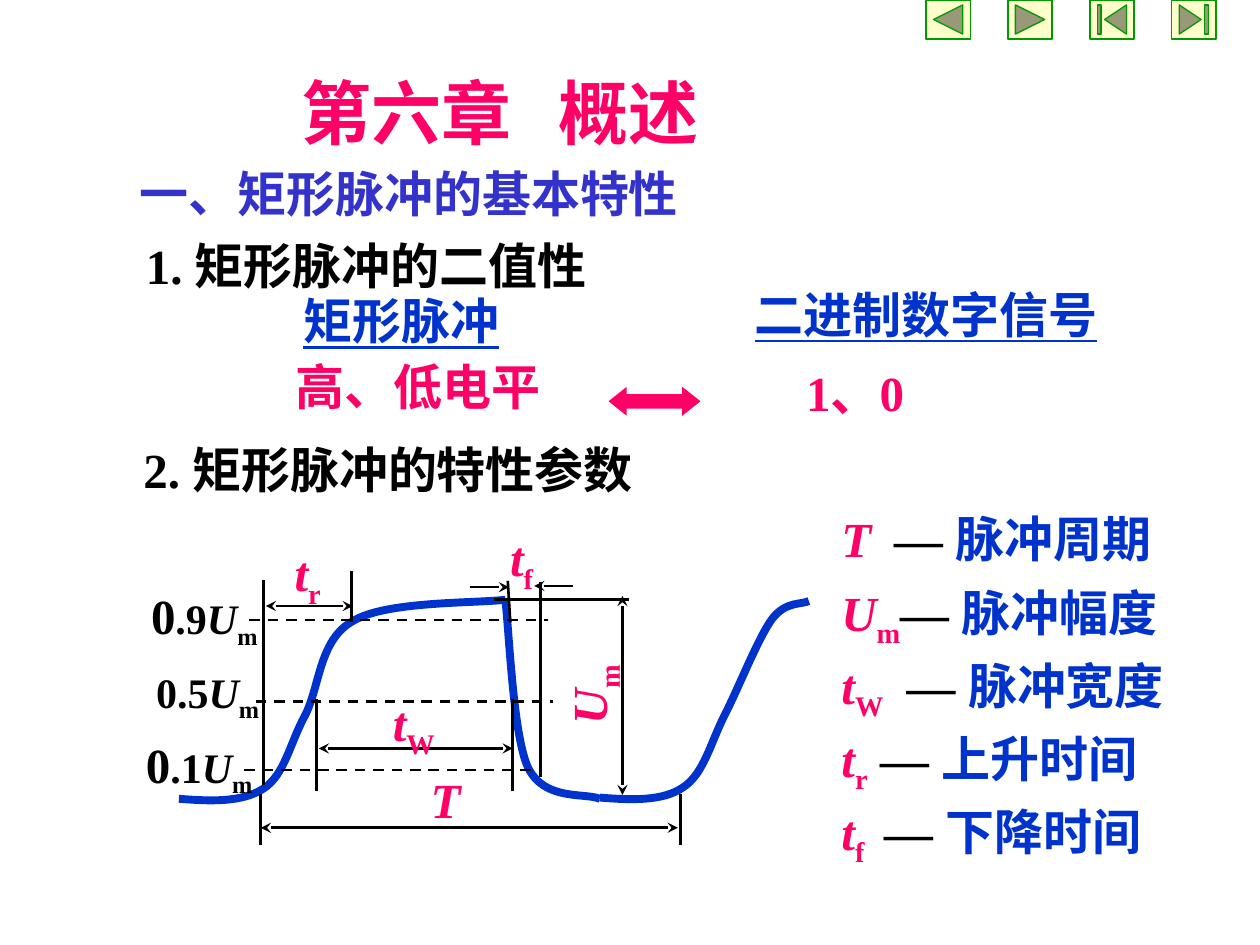
from lxml.etree import SubElement
from pptx import Presentation
from pptx.dml.color import RGBColor
from pptx.enum.dml import MSO_LINE
from pptx.enum.shapes import MSO_CONNECTOR, MSO_SHAPE as SHAPE
from pptx.enum.text import MSO_ANCHOR, MSO_AUTO_SIZE, PP_ALIGN
from pptx.oxml.ns import qn
from pptx.util import Inches, Pt

LATIN, CJK = "Times New Roman", "Noto Sans CJK SC"
PINK, BLUE, VIOLET, BLACK = "FF0066", "0033CC", "3333CC", "000000"

VAR = dict(color=PINK, italic=True)
SUB = dict(color=PINK, base=-25)
DASH = dict(color=BLACK, italic=True)
NAME = dict(color=BLUE)
LINK = dict(color=BLUE, underline=True)
TICK = dict(color=BLACK, size=24)
TICK_VAR = TICK | dict(italic=True)
TICK_SUB = TICK | dict(base=-25)

TITLE = [("第六章\t概述", dict(color=PINK, size=40, name=CJK))]

TEXTS = [
    (1.01, 1.25, 5.52, 0.57, [("一、矩形脉冲的基本特性", dict(color=VIOLET))]),
    (1.06, 1.82, 4.67, 0.57, [("1. 矩形脉冲的二值性", dict(color=BLACK))]),
    (2.31, 2.26, 2.67, 0.57, [("矩形脉冲", LINK)]),
    (5.89, 2.21, 3.29, 0.57, [("二进制数字信号", LINK)]),
    (2.25, 2.78, 2.43, 0.57, [("高、低电平", dict(color=PINK))]),
    (6.3, 2.83, 1.63, 0.57, [("1、0", dict(color=PINK))]),
    (1.04, 3.44, 4.67, 0.57, [("2. 矩形脉冲的特性参数", dict(color=BLACK))]),
    (3.32, 6.06, 0.54, 0.57, [("T", VAR)]),
    (3.02, 5.45, 0.94, 0.63, [("t", VAR), ("W", SUB)]),
    (2.24, 4.26, 0.83, 0.63, [("t", VAR), ("r", SUB)]),
    (3.95, 4.14, 0.62, 0.63, [("t", VAR), ("f", SUB)]),
    (1.14, 5.24, 1.49, 0.56, [("0.5", TICK), ("U", TICK_VAR), ("m", TICK_SUB)]),
]
for left, top, digit in [(1.06, 5.78, ".1"), (1.1, 4.6, ".9")]:
    TEXTS.append((left, top, 1.49, 0.61, [("0", dict(color=BLACK)), (digit, TICK),
                                          ("U", TICK_VAR), ("m", TICK_SUB)]))

AMPLITUDE = (4.18, 5.01, 1.04, 0.63, [("U", VAR), ("m", SUB)])

LEGEND_LEFT, LEGEND_TOP, LEGEND_STEP = 6.58, 3.99, 0.58
LEGEND = [
    ("T", "", "脉冲周期", 0.42),
    ("U", "m", "脉冲幅度", None),
    ("t", "W", "脉冲宽度", 0.52),
    ("t", "r", "上升时间", 0.31),
    ("t", "f", "下降时间", 0.34),
]

CURVES = [
    [(1.42, 6.34), (1.67, 6.36), (1.92, 6.37), (2.09, 6.26), (2.26, 6.15), (2.3, 5.9),
     (2.42, 5.68), (2.54, 5.45), (2.53, 5.08), (2.8, 4.93), (3.06, 4.77), (3.75, 4.79),
     (4.01, 4.76)],
    [(4.01, 4.76), (4.04, 4.98), (4.07, 5.83), (4.19, 6.09), (4.32, 6.36), (4.64, 6.29),
     (4.76, 6.34)],
    [(4.76, 6.33), (5.01, 6.35), (5.26, 6.36), (5.42, 6.25), (5.59, 6.14), (5.64, 5.89),
     (5.76, 5.66), (5.87, 5.44), (6.02, 5.06), (6.13, 4.91), (6.24, 4.77), (6.36, 4.8),
     (6.42, 4.77)],
]

PLAIN, BOTH, END = (), ("headEnd", "tailEnd"), ("tailEnd",)
LINES = {
    PLAIN: [
        (2.07, 6.3, 2.07, 6.71), (5.4, 6.3, 5.4, 6.71), (3.92, 4.76, 4.99, 4.76),
        (2.51, 5.55, 2.51, 6.28), (4.07, 5.55, 4.07, 6.28), (2.09, 4.6, 2.09, 6.23),
        (2.79, 4.53, 2.79, 4.94), (4.29, 4.62, 4.29, 6.17), (4.03, 4.61, 4.05, 4.94),
    ],
    BOTH: [
        (2.07, 6.57, 5.38, 6.57), (4.94, 6.31, 4.94, 4.73),
        (2.53, 5.94, 4.07, 5.94), (2.11, 4.81, 2.8, 4.81),
    ],
    END: [(3.73, 4.66, 4.04, 4.66), (4.55, 4.65, 4.24, 4.65)],
}
LEVELS = [(2.03, 5.57, 4.39, 5.57), (1.94, 6.11, 4.3, 6.11), (1.98, 4.92, 4.35, 4.92)]

BUTTONS = [SHAPE.ACTION_BUTTON_BACK_OR_PREVIOUS, SHAPE.ACTION_BUTTON_FORWARD_OR_NEXT,
           SHAPE.ACTION_BUTTON_BEGINNING, SHAPE.ACTION_BUTTON_END]


def rgb(value):
    return RGBColor.from_string(value)


def write(box, runs, tab=None):
    tf = box.text_frame
    tf.word_wrap = True
    tf.auto_size = MSO_AUTO_SIZE.SHAPE_TO_FIT_TEXT
    tf.vertical_anchor = MSO_ANCHOR.TOP
    p = tf.paragraphs[0]
    p.alignment = PP_ALIGN.LEFT
    if tab:
        tabs = SubElement(p._p.get_or_add_pPr(), qn("a:tabLst"))
        SubElement(tabs, qn("a:tab"), pos=str(Inches(tab)), algn="l")
    for text, style in runs:
        r = p.add_run()
        r.text = text
        fmt = dict(name=LATIN, size=28, bold=True, italic=False) | style
        r.font.color.rgb = rgb(fmt.pop("color"))
        r.font.size = Pt(fmt.pop("size"))
        base = fmt.pop("base", 0)
        for key, value in fmt.items():
            setattr(r.font, key, value)
        rPr = r._r.get_or_add_rPr()
        SubElement(rPr, qn("a:ea"), typeface=CJK)
        if base:
            rPr.set("baseline", str(base * 1000))


def add_text(slide, left, top, width, height, runs, tab=None):
    box = slide.shapes.add_textbox(*map(Inches, (left, top, width, height)))
    write(box, runs, tab)
    return box


def add_curve(slide, points):
    start, *rest = [(Inches(x), Inches(y)) for x, y in points]
    builder = slide.shapes.build_freeform(*start)
    builder.add_line_segments(rest, close=False)
    s = builder.convert_to_shape()
    s.shadow.inherit = False
    s.fill.background()
    s.line.color.rgb = rgb(BLUE)
    s.line.width = Pt(4.5)
    steps = s._element.xpath(".//a:lnTo")
    for first, second, third in zip(steps[::3], steps[1::3], steps[2::3]):
        bezier = SubElement(first.getparent(), qn("a:cubicBezTo"))
        for step in (first, second, third):
            bezier.append(step[0])
            step.getparent().remove(step)


def add_line(slide, ends, heads=(), dash=None):
    s = slide.shapes.add_connector(MSO_CONNECTOR.STRAIGHT, *map(Inches, ends))
    s.line.color.rgb = rgb(BLACK)
    s.line.width = Pt(1.5)
    s.line.dash_style = dash
    for head in heads:
        SubElement(s.line._get_or_add_ln(), qn("a:" + head), type="stealth")
    SubElement(s._element.spPr, qn("a:effectLst"))


def add_shape(slide, kind, left, top, width, height, fill):
    s = slide.shapes.add_shape(kind, *map(Inches, (left, top, width, height)))
    s.shadow.inherit = False
    s.fill.solid()
    s.fill.fore_color.rgb = rgb(fill)
    return s


def main():
    prs = Presentation()
    prs.slide_width, prs.slide_height = Inches(10), Inches(7.5)
    slide = prs.slides.add_slide(prs.slide_layouts[5])

    title = slide.shapes.title
    title.left, title.top, title.width, title.height = map(Inches, (2.29, 0.5, 5.15, 0.77))
    write(title, TITLE, 2.04)

    for points in CURVES:
        add_curve(slide, points)
    for heads, group in LINES.items():
        for ends in group:
            add_line(slide, ends, heads)
    for ends in LEVELS:
        add_line(slide, ends, dash=MSO_LINE.DASH)

    for item in TEXTS:
        add_text(slide, *item)
    add_text(slide, *AMPLITUDE).rotation = 270
    for i, (symbol, sub, meaning, tab) in enumerate(LEGEND):
        runs = [(symbol, VAR)] + ([(sub, SUB)] if sub else [])
        runs += [("\t— " if tab else "— ", DASH), (meaning, NAME)]
        add_text(slide, LEGEND_LEFT, LEGEND_TOP + i * LEGEND_STEP, 3.3, 0.63, runs, tab)

    arrow = add_shape(slide, SHAPE.LEFT_RIGHT_ARROW, 4.83, 3.07, 0.73, 0.23, PINK)
    arrow.adjustments[1] = 0.63
    arrow.line.fill.background()
    for i, kind in enumerate(BUTTONS):
        button = add_shape(slide, kind, 7.35 + i * 0.65, 0, 0.35, 0.31, "FFFFCC")
        button.line.color.rgb = rgb("009900")
        button.line.width = Pt(0.75)

    prs.save("out.pptx")


if __name__ == "__main__":
    main()
